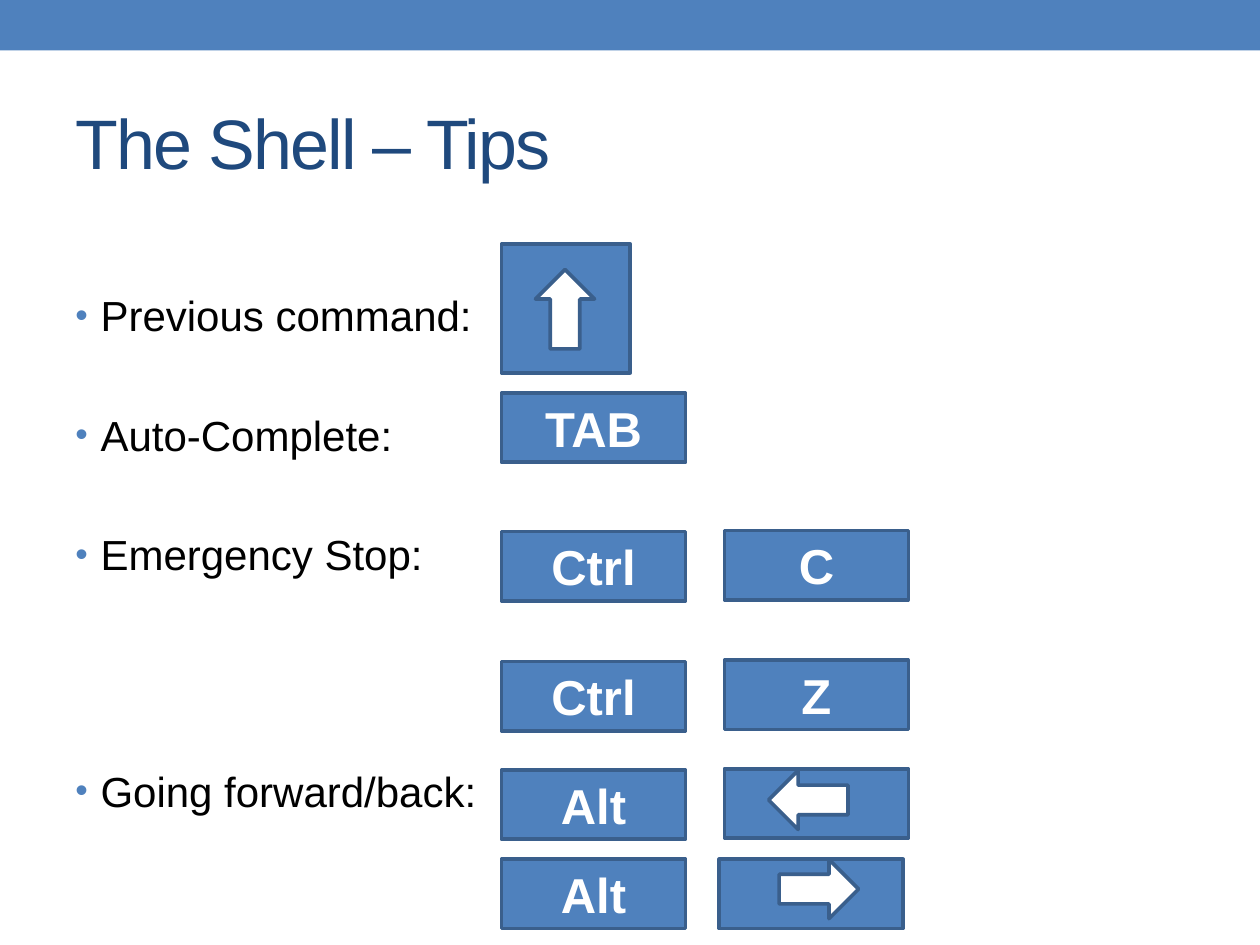
from typing import NamedTuple

from lxml import etree
from pptx import Presentation
from pptx.dml.color import RGBColor
from pptx.enum.shapes import MSO_SHAPE
from pptx.enum.text import MSO_ANCHOR, PP_ALIGN
from pptx.oxml.ns import qn
from pptx.util import Pt

RECTANGLE = MSO_SHAPE.RECTANGLE
UP_ARROW = MSO_SHAPE.UP_ARROW
MIDDLE = MSO_ANCHOR.MIDDLE
CENTER = PP_ALIGN.CENTER

BLUE = RGBColor(0x4F, 0x81, 0xBD)
OUTLINE = RGBColor(0x3A, 0x5F, 0x8C)
NAVY = RGBColor(0x1F, 0x49, 0x7D)
BLACK = RGBColor(0x00, 0x00, 0x00)
WHITE = RGBColor(0xFF, 0xFF, 0xFF)

FONT = "Arial"
MARGIN = 36
CONTENT_WIDTH = 648
BULLET_INDENT = 14.4
FIRST_COLUMN = 286.6
SECOND_COLUMN = 414
KEY_WIDTH = 105.1
KEY_HEIGHT = 39.6
ARROW_WIDTH = 33.8
ARROW_HEIGHT = 45.4


class Tip(NamedTuple):
    text: str
    gap: float


class Key(NamedTuple):
    left: float
    top: float
    label: str = ""
    width: float = KEY_WIDTH
    height: float = KEY_HEIGHT


class Arrow(NamedTuple):
    left: float
    top: float
    rotation: float


TIPS = [
    Tip("Previous command:", 0),
    Tip("Auto-Complete:", 39.5),
    Tip("Emergency Stop:", 39.5),
    Tip("Going forward/back:", 106.4),
]
KEYS = [
    Key(FIRST_COLUMN, 139.5, width=73.6, height=73.6),
    Key(FIRST_COLUMN, 224.6, "TAB"),
    Key(FIRST_COLUMN, 303.8, "Ctrl"),
    Key(SECOND_COLUMN, 303.1, "C"),
    Key(FIRST_COLUMN, 378, "Ctrl"),
    Key(SECOND_COLUMN, 377.3, "Z"),
    Key(FIRST_COLUMN, 440, "Alt"),
    Key(SECOND_COLUMN, 439.3),
    Key(FIRST_COLUMN, 491, "Alt"),
    Key(411, 491),
]
ARROWS = [
    Arrow(306, 154, 0),
    Arrow(445, 434.4, 270),
    Arrow(451, 485.4, 90),
]


def add_span(para, text: str, size: float, color: RGBColor, bold: bool = False):
    span = para.add_run()
    span.text = text
    span.font.name = FONT
    span.font.size = Pt(size)
    span.font.bold = bold
    span.font.color.rgb = color
    return span


def add_filled(page, kind, left: float, top: float, width: float, height: float,
               fill: RGBColor):
    shape = page.shapes.add_shape(kind, Pt(left), Pt(top), Pt(width), Pt(height))
    shape.shadow.inherit = False
    shape.fill.solid()
    shape.fill.fore_color.rgb = fill
    shape.line.color.rgb = OUTLINE
    shape.line.width = Pt(2.08)
    return shape


def add_box(page, top: float, height: float):
    box = page.shapes.add_textbox(Pt(MARGIN), Pt(top), Pt(CONTENT_WIDTH), Pt(height))
    box.text_frame.word_wrap = True
    return box.text_frame


def add_bullet(para) -> None:
    properties = para._p.get_or_add_pPr()
    properties.set("marL", str(Pt(BULLET_INDENT)))
    properties.set("indent", str(-Pt(BULLET_INDENT)))
    color = etree.SubElement(properties, qn("a:buClr"))
    etree.SubElement(color, qn("a:srgbClr"), val=str(BLUE))
    etree.SubElement(properties, qn("a:buSzPct"), val="85000")
    etree.SubElement(properties, qn("a:buFont"), typeface=FONT)
    etree.SubElement(properties, qn("a:buChar"), char="•")


def draw_title(page) -> None:
    frame = add_box(page, 41.8, 77.8)
    frame.vertical_anchor = MIDDLE
    span = add_span(frame.paragraphs[0], "The Shell – Tips", 40, NAVY)
    span.font._element.set("spc", "-100")


def draw_tips(page, tips: list[Tip]) -> None:
    frame = add_box(page, 162, 348)
    for index, tip in enumerate(tips):
        para = frame.add_paragraph() if index else frame.paragraphs[0]
        add_bullet(para)
        para.space_before = Pt(tip.gap)
        add_span(para, tip.text, 24, BLACK)


def draw_key(page, key: Key) -> None:
    shape = add_filled(page, RECTANGLE, key.left, key.top, key.width, key.height, BLUE)
    if key.label:
        shape.text_frame.vertical_anchor = MIDDLE
        para = shape.text_frame.paragraphs[0]
        para.alignment = CENTER
        add_span(para, key.label, 28, WHITE, bold=True)


def draw_arrow(page, arrow: Arrow) -> None:
    shape = add_filled(page, UP_ARROW, arrow.left, arrow.top,
                       ARROW_WIDTH, ARROW_HEIGHT, WHITE)
    shape.rotation = arrow.rotation


def main() -> None:
    deck = Presentation()
    deck.slide_width = Pt(720)
    deck.slide_height = Pt(540)
    page = deck.slides.add_slide(deck.slide_layouts[6])
    banner = add_filled(page, RECTANGLE, 0, 0, 720, 28.8, BLUE)
    banner.line.fill.background()
    draw_title(page)
    draw_tips(page, TIPS)
    for key in KEYS:
        draw_key(page, key)
    for arrow in ARROWS:
        draw_arrow(page, arrow)
    deck.save("out.pptx")


if __name__ == "__main__":
    main()
